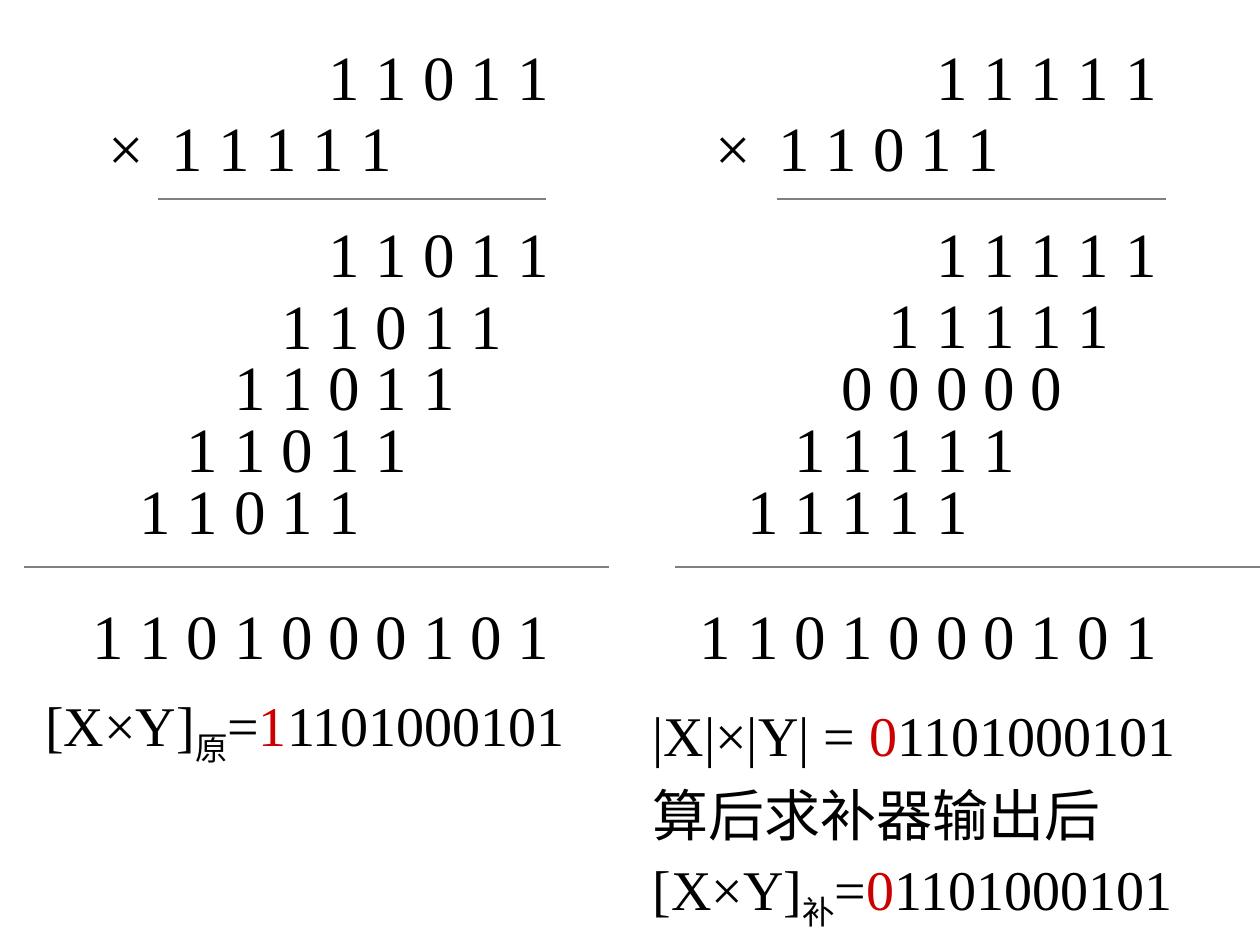
from lxml import etree
from pptx import Presentation
from pptx.dml.color import RGBColor
from pptx.enum.shapes import MSO_CONNECTOR
from pptx.enum.text import MSO_ANCHOR, MSO_AUTO_SIZE
from pptx.oxml.ns import qn
from pptx.util import Pt

STRAIGHT = MSO_CONNECTOR.STRAIGHT
TOP = MSO_ANCHOR.TOP
NO_FIT = MSO_AUTO_SIZE.NONE
COLORS = {"text": "000000", "sign": "CC0000", "rule": "808080"}
FONT = "Times New Roman"
DIGIT_STEP = 27
ROW_GAP = 35.4


class SlideBuilder:
    """Draws written multiplications on a slide in one shared style."""

    def __init__(self, slide):
        self.s = slide

    def text_box(self, x, y, w, h):
        tf = self.s.shapes.add_textbox(Pt(x), Pt(y), Pt(w), Pt(h)).text_frame
        tf.word_wrap = True
        tf.auto_size = NO_FIT
        tf.vertical_anchor = TOP
        return tf

    def paragraph(self, tf, pitch, runs, size, indent=0, tabs=()):
        p = tf.paragraphs[0] if not tf.paragraphs[0].runs else tf.add_paragraph()
        line = min(pitch, 44)
        p.line_spacing = Pt(line)
        p.space_before = Pt(pitch - line)
        pPr = p._p.get_or_add_pPr()
        pPr.set("marL", str(Pt(indent)))
        pPr.set("indent", "0")
        if tabs:
            tab_list = etree.SubElement(pPr, qn("a:tabLst"))
            for pos in tabs:
                etree.SubElement(tab_list, qn("a:tab"), pos=str(Pt(pos)), algn="l")
        for text, style in runs:
            r = p.add_run()
            r.text = text
            r.font.size = Pt(size)
            r.font.name = FONT
            r.font.color.rgb = RGBColor.from_string(
                COLORS["sign" if style == "sign" else "text"])
            if style == "sub":
                r.font._element.set("baseline", "-25000")

    def digits(self, tf, pitch, number, shift):
        self.paragraph(tf, pitch, [(" ".join(number), "")], 36,
                       indent=(6 - shift) * DIGIT_STEP)

    def multiplication(self, tf, top, bottom, product):
        self.digits(tf, 43.3, top, 0)
        self.paragraph(tf, 40.6, [("\t×\t" + " ".join(bottom), "")], 36,
                       tabs=(80.3, 154.5))
        for shift, bit in enumerate(reversed(bottom)):
            pitch = {0: 60.6, 1: 40.6}.get(shift, ROW_GAP)
            self.digits(tf, pitch, top if bit == "1" else "0" * len(top), shift)
        self.digits(tf, 71.4, product, 5)

    def result(self, tf, pitch, label, sub, sign, product):
        runs = [(label, "")]
        if sub:
            runs += [(sub, "sub"), ("=", "")]
        self.paragraph(tf, pitch, runs + [(sign, "sign"), (product, "")], 32)

    def rule(self, x1, x2, y):
        c = self.s.shapes.add_connector(STRAIGHT, Pt(x1), Pt(y), Pt(x2), Pt(y))
        c.line.color.rgb = RGBColor.from_string(COLORS["rule"])
        c.line.width = Pt(0.75)
        etree.SubElement(c._element.spPr, qn("a:effectLst"))


def main():
    prs = Presentation()
    prs.slide_width, prs.slide_height = Pt(720), Pt(540)
    b = SlideBuilder(prs.slides.add_slide(prs.slide_layouts[6]))
    product = "1101000101"

    left = b.text_box(18.7, 18, 329, 428.4)
    b.multiplication(left, "11011", "11111", product)
    b.result(left, 54.3, "[X×Y]", "原", "1", product)

    right = b.text_box(365.8, 18, 383, 521.3)
    b.multiplication(right, "11111", "11011", product)
    b.result(right, 54.3, "|X|×|Y| = ", "", "0", product)
    b.paragraph(right, 45.7, [("算后求补器输出后", "")], 32)
    b.result(right, 48, "[X×Y]", "补", "0", product)

    for x1, x2, y in ((90, 312, 113.8), (13.7, 347.8, 324),
                      (444, 666, 113.8), (385.9, 720, 324)):
        b.rule(x1, x2, y)
    prs.save("out.pptx")


if __name__ == "__main__":
    main()
